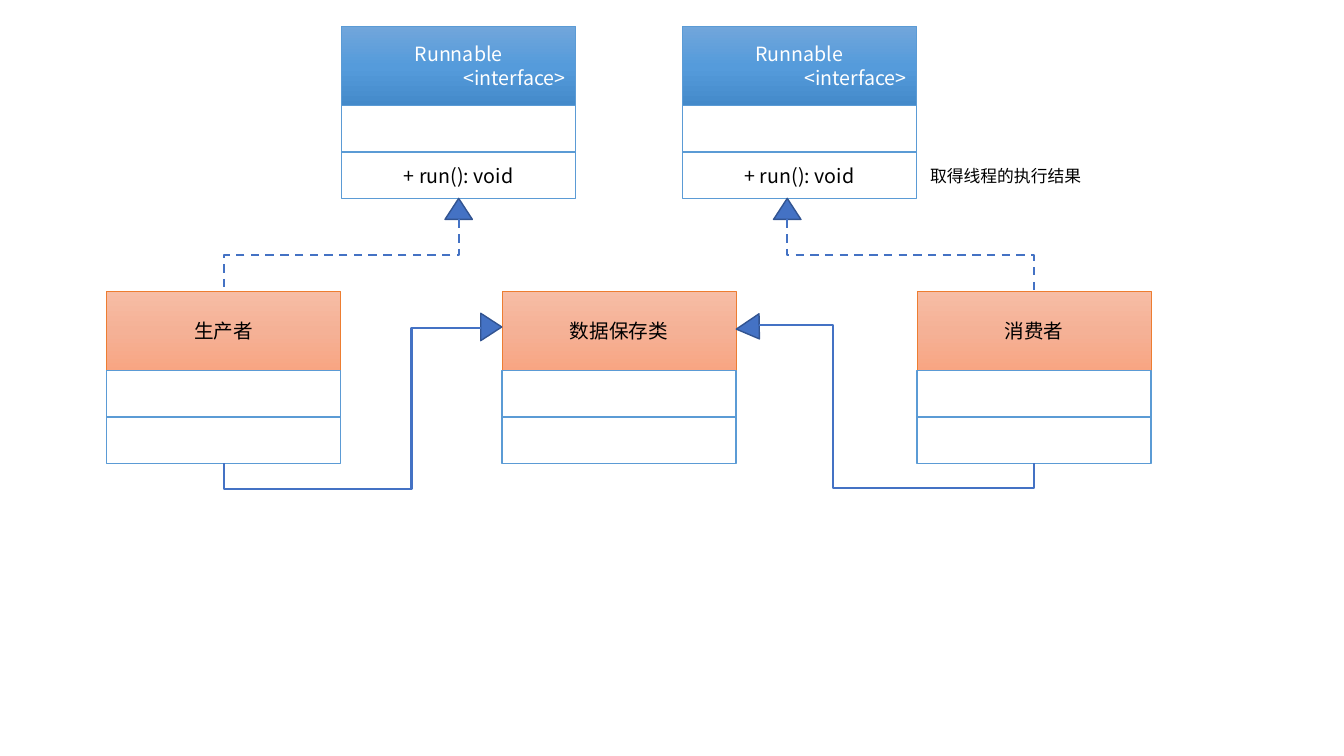
from copy import deepcopy
from dataclasses import dataclass

from lxml.etree import SubElement
from pptx import Presentation
from pptx.dml.color import RGBColor
from pptx.enum.dml import MSO_LINE
from pptx.enum.shapes import MSO_CONNECTOR as CONNECTOR, MSO_SHAPE as SHAPE
from pptx.enum.text import MSO_ANCHOR as ANCHOR, PP_ALIGN as ALIGN
from pptx.oxml.ns import qn
from pptx.util import Cm, Pt

FONT = "Noto Sans CJK SC"
COLORS = {
    "white": "FFFFFF",
    "black": "000000",
    "class_line": "5B9BD5",
    "actor_line": "ED7D31",
    "arrow": "4472C4",
    "arrow_line": "325491",
}
GRADIENTS = {
    "interface": ("71A6DB", "559BDB", "448ACA"),
    "actor": ("F7BDA5", "F5B196", "F8A582"),
}
HEADER_HEIGHT, ROW_HEIGHT = 2.0, 1.17
ARROW_WIDTH, ARROW_HEIGHT = 0.69, 0.53


@dataclass
class Box:
    """A class box; all lengths are in centimetres."""
    left: float
    top: float
    width: float = 5.9
    height: float = HEADER_HEIGHT + 2 * ROW_HEIGHT

    @property
    def center(self):
        return self.left + self.width / 2

    @property
    def right(self):
        return self.left + self.width

    @property
    def bottom(self):
        return self.top + self.height


def rgb(name):
    return RGBColor.from_string(COLORS[name])


def write(shape, *lines, size=14, color="black", aligns=(ALIGN.CENTER,),
          anchor=ANCHOR.MIDDLE, wrap=True):
    """Fill a shape with one paragraph per line."""
    frame = shape.text_frame
    frame.word_wrap = wrap
    frame.vertical_anchor = anchor
    frame.text = "\n".join(lines)
    for paragraph, align in zip(frame.paragraphs, aligns):
        paragraph.alignment = align
        font = paragraph.runs[0].font
        font.size, font.name = Pt(size), FONT
        font.color.rgb = rgb(color)
        east_asian = SubElement(paragraph.runs[0]._r.rPr, qn("a:ea"))
        east_asian.set("typeface", FONT)


def add_shape(slide, kind, left, top, width, height, line, line_width=1, fill="white"):
    shape = slide.shapes.add_shape(kind, Cm(left), Cm(top), Cm(width), Cm(height))
    shape.shadow.inherit = False
    shape.fill.solid()
    shape.fill.fore_color.rgb = rgb(fill)
    shape.line.color.rgb = rgb(line)
    shape.line.width = Pt(line_width)
    return shape


def apply_gradient(shape, colors):
    """Shade a shape from top to bottom in evenly spaced colours."""
    shape.fill.gradient()
    shape.fill.gradient_angle = 270
    stop_list = shape._element.spPr.find(".//" + qn("a:gsLst"))
    stop_list.append(deepcopy(stop_list[-1]))
    for index, (stop, color) in enumerate(zip(shape.fill.gradient_stops, colors)):
        stop.position = index / (len(colors) - 1)
        stop.color.rgb = RGBColor.from_string(color)


def add_class(slide, box, style, title, method=None, **title_format):
    """Draw a header above an attribute row and a method row."""
    line = "actor_line" if style == "actor" else "class_line"
    header = add_shape(slide, SHAPE.RECTANGLE, box.left, box.top,
                       box.width, HEADER_HEIGHT, line, 0.5)
    apply_gradient(header, GRADIENTS[style])
    write(header, *title, **title_format)
    for index, text in enumerate((None, method)):
        top = box.top + HEADER_HEIGHT + index * ROW_HEIGHT
        row = add_shape(slide, SHAPE.RECTANGLE, box.left, top,
                        box.width, ROW_HEIGHT, "class_line")
        if text:
            write(row, text)


def add_arrowhead(slide, center_x, center_y, rotation=0):
    head = add_shape(slide, SHAPE.ISOSCELES_TRIANGLE, center_x - ARROW_WIDTH / 2,
                     center_y - ARROW_HEIGHT / 2, ARROW_WIDTH, ARROW_HEIGHT,
                     "arrow_line", fill="arrow")
    head.rotation = rotation


def add_elbow(slide, begin_x, begin_y, end_x, end_y):
    elbow = slide.shapes.add_connector(CONNECTOR.ELBOW, Cm(begin_x), Cm(begin_y),
                                       Cm(end_x), Cm(end_y))
    elbow.line.color.rgb = rgb("arrow")
    elbow.line.width = Pt(1.5)
    SubElement(elbow._element.spPr, qn("a:effectLst"))
    return elbow


def add_realization(slide, interface, actor, x):
    """Dashed arrow from the actor's top up to the interface's bottom at x."""
    add_arrowhead(slide, x, interface.bottom + ARROW_HEIGHT / 2)
    begin_y = interface.bottom + ARROW_HEIGHT
    drop, run = actor.top - begin_y, abs(actor.center - x)
    middle_x, middle_y = (x + actor.center) / 2, (begin_y + actor.top) / 2
    # The elbow leaves vertically, so it is laid out sideways and then turned.
    leftward = actor.center < x
    half = drop / 2 if leftward else -drop / 2
    elbow = add_elbow(slide, middle_x - half, middle_y - run / 2,
                      middle_x + half, middle_y + run / 2)
    elbow._element.spPr.xfrm.set("rot", str((90 if leftward else 270) * 60000))
    elbow.line.dash_style = MSO_LINE.DASH


def add_association(slide, actor, begin, head, rotation, bends):
    """Solid arrow that leaves the actor's bottom and ends beside the data class."""
    add_arrowhead(slide, *head, rotation)
    elbow = add_elbow(slide, *begin, actor.center, actor.bottom)
    geometry = elbow._element.spPr.find(qn("a:prstGeom"))
    geometry.set("prst", "bentConnector4")
    for index, bend in enumerate(bends, 1):
        guide = SubElement(geometry.find(qn("a:avLst")), qn("a:gd"))
        guide.set("name", f"adj{index}")
        guide.set("fmla", f"val {round(bend * 100000)}")


def add_note(slide, box, text):
    """Place a remark to the right of a class's method row."""
    note = slide.shapes.add_textbox(Cm(box.right + 0.09), Cm(box.bottom - 0.96),
                                    Cm(4.37), Cm(0.76))
    write(note, text, size=12, aligns=(ALIGN.LEFT,), anchor=ANCHOR.TOP, wrap=False)


def build_diagram(slide):
    interfaces = Box(8.61, 0.66), Box(17.2, 0.66)
    producer, storage, consumer = (Box(left, 7.34) for left in (2.69, 12.65, 23.11))

    for interface in interfaces:
        add_class(slide, interface, "interface", ("Runnable", "<interface>"),
                  "+ run(): void", color="white", aligns=(ALIGN.CENTER, ALIGN.RIGHT))
    add_note(slide, interfaces[1], "取得线程的执行结果")
    for box, name in ((producer, "生产者"), (storage, "数据保存类"), (consumer, "消费者")):
        add_class(slide, box, "actor", (name,))

    add_realization(slide, interfaces[0], producer, interfaces[0].center)
    add_realization(slide, interfaces[1], consumer, 19.84)
    add_association(slide, producer, (storage.left - 0.53, 8.26),
                    (storage.left - 0.27, 8.24), 90, (0.27, 1.19))
    add_association(slide, consumer, (storage.right + 0.58, 8.2),
                    (storage.right + 0.44, 8.32), 146, (0.27, 1.18))


def main():
    presentation = Presentation()
    presentation.slide_width, presentation.slide_height = Cm(33.87), Cm(19.05)
    build_diagram(presentation.slides.add_slide(presentation.slide_layouts[6]))
    presentation.save("out.pptx")


if __name__ == "__main__":
    main()
